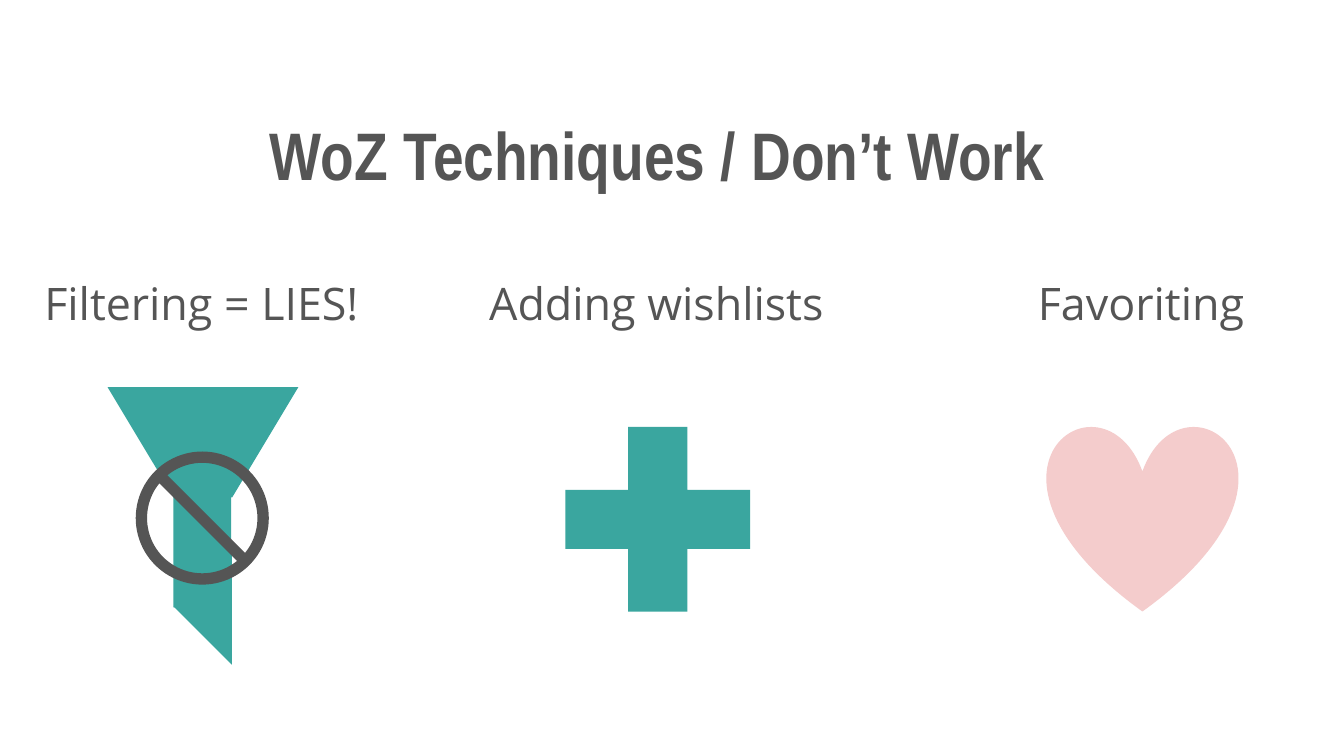
from dataclasses import dataclass

from pptx import Presentation
from pptx.dml.color import RGBColor
from pptx.enum.shapes import MSO_SHAPE as Preset
from pptx.enum.text import MSO_ANCHOR as Anchor, PP_ALIGN as Align
from pptx.util import Inches, Pt


@dataclass(frozen=True)
class Theme:
    gray: RGBColor = RGBColor(0x55, 0x55, 0x55)
    teal: RGBColor = RGBColor(0x3A, 0xA6, 0x9F)
    pink: RGBColor = RGBColor(0xF4, 0xCC, 0xCC)
    title_font: str = "Arial Narrow"
    label_font: str = "Open Sans"
    title_size: Pt = Pt(36)
    label_size: Pt = Pt(24)


theme = Theme()
presentation = Presentation()
presentation.slide_width = Inches(10)
presentation.slide_height = Inches(10 * 9 / 16)
slide = presentation.slides.add_slide(presentation.slide_layouts[6])


def add_text(text, left, top, width, height, font_name, size, bold=False):
    box = slide.shapes.add_textbox(Inches(left), Inches(top), Inches(width), Inches(height))
    frame = box.text_frame
    frame.word_wrap = True
    frame.vertical_anchor = Anchor.MIDDLE
    frame.margin_left = frame.margin_right = Inches(0.1)
    frame.margin_top = frame.margin_bottom = Inches(0.1)
    frame.text = text
    paragraph = frame.paragraphs[0]
    paragraph.alignment = Align.CENTER
    font = paragraph.runs[0].font
    font.name, font.size, font.bold = font_name, size, bold
    font.color.rgb = theme.gray


def add_icon_part(preset, left, top, width, height, color, rotation=0, adjustment=None):
    shape = slide.shapes.add_shape(
        preset, Inches(left), Inches(top), Inches(width), Inches(height))
    shape.shadow.inherit = False
    shape.fill.solid()
    shape.fill.fore_color.rgb = color
    shape.line.fill.background()
    shape.rotation = rotation
    if adjustment is not None:
        shape.adjustments[0] = adjustment


# Title and column labels
add_text("WoZ Techniques / Don’t Work", 0.39, 0.67, 9, 0.94,
         theme.title_font, theme.title_size, bold=True)
for label, left, width in [
    ("Filtering = LIES!", 0.23, 2.54),
    ("Adding wishlists", 3.52, 2.73),
    ("Favoriting", 7.22, 2.54),
]:
    add_text(label, left, 1.91, width, 0.68, theme.label_font, theme.label_size)

# Crossed-out funnel: cone, stem, slanted tip, prohibition sign
add_icon_part(Preset.TRAPEZOID, 0.8, 2.88, 1.42, 0.82, theme.teal, 180, 0.6)
add_icon_part(Preset.RECTANGLE, 1.29, 3.58, 0.43, 0.94, theme.teal)
add_icon_part(Preset.RIGHT_TRIANGLE, 1.42, 4.21, 0.61, 0.61, theme.teal, 45)
add_icon_part(Preset.NO_SYMBOL, 1.01, 3.36, 0.99, 0.99, theme.gray, adjustment=0.085)

# Plus and heart
add_icon_part(Preset.MATH_PLUS, 3.96, 2.93, 1.87, 1.87, theme.teal)
add_icon_part(Preset.HEART, 7.79, 3.16, 1.42, 1.39, theme.pink)

presentation.save("out.pptx")
